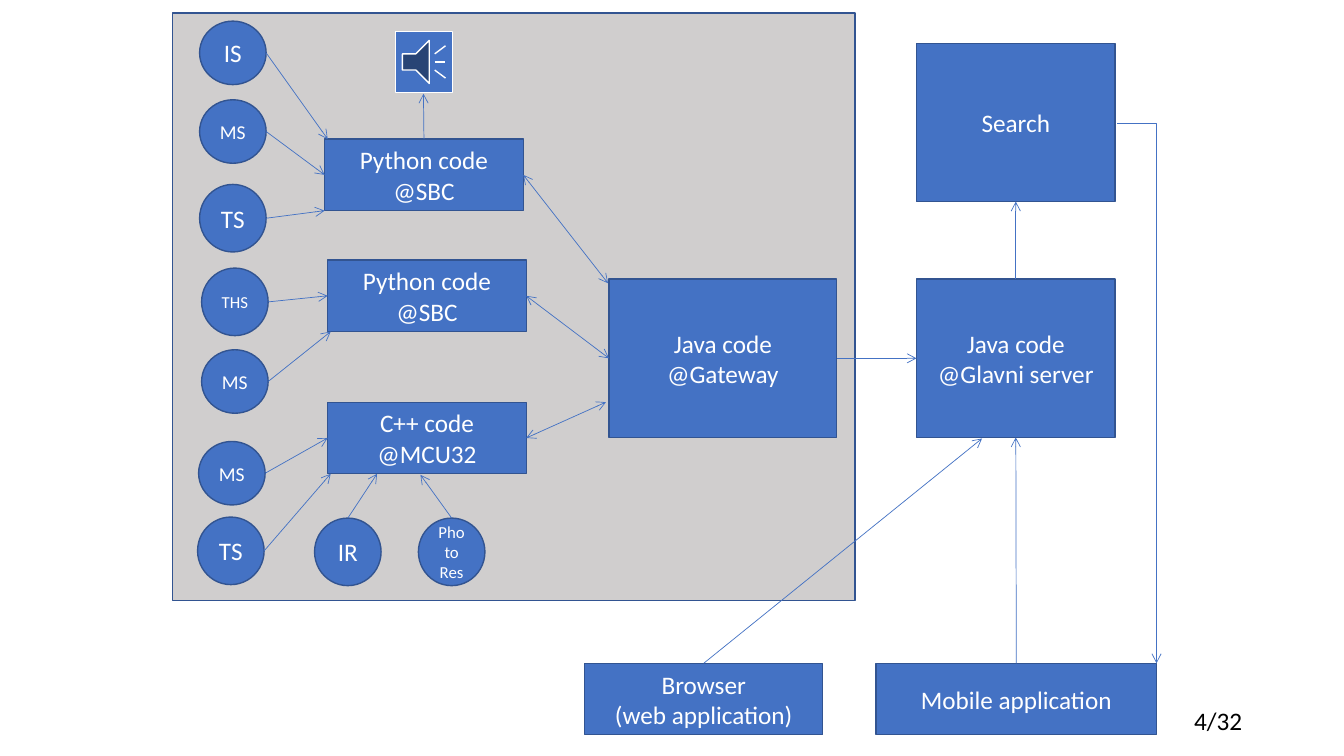
from lxml import etree
from pptx import Presentation
from pptx.dml.color import RGBColor
from pptx.enum.shapes import MSO_CONNECTOR as LINE, MSO_SHAPE as SHAPE
from pptx.enum.text import MSO_ANCHOR as ANCHOR, PP_ALIGN as ALIGN
from pptx.oxml.ns import qn
from pptx.util import Inches, Pt

WHITE = RGBColor(0xFF, 0xFF, 0xFF)
BLACK = RGBColor(0, 0, 0)
GREY = RGBColor(0xD0, 0xCE, 0xCE)
BLUE = RGBColor(0x44, 0x72, 0xC4)
DARK_BLUE = RGBColor(0x32, 0x54, 0x91)

WIDTH, HEIGHT = Inches(13.33), Inches(7.5)
COLS, ROWS = 133.3, 75
TOP, LEFT, BOTTOM, RIGHT = range(4)
CODE_W, CODE_H = 19.7, 7.1
SERVER_H = 15.7
SENSOR_W = 6.6


def col(n):
    return round(WIDTH * n / COLS)


def row(n):
    return round(HEIGHT * n / ROWS)


def write(sp, text, size=18, color=WHITE, align=ALIGN.CENTER, anchor=ANCHOR.MIDDLE):
    tf = sp.text_frame
    tf.word_wrap = True
    tf.vertical_anchor = anchor
    for i, line in enumerate(text.split("\n")):
        p = tf.add_paragraph() if i else tf.paragraphs[0]
        p.alignment = align
        r = p.add_run()
        r.text = line
        r.font.name = "Calibri"
        r.font.size = Pt(size)
        r.font.color.rgb = color


def block(s, x, y, w, h, text="", kind=SHAPE.RECTANGLE, fill=BLUE, line=DARK_BLUE, size=18):
    sp = s.shapes.add_shape(kind, col(x), row(y), col(w), row(h))
    sp.shadow.inherit = False
    sp.fill.solid()
    sp.fill.fore_color.rgb = fill
    sp.line.color.rgb = line
    sp.line.width = Pt(1)
    if text:
        write(sp, text, size=size)
    return sp


def sensor(s, x, y, h, text, size=18):
    return block(s, x, y, SENSOR_W, h, text, kind=SHAPE.OVAL, size=size)


def locate(end):
    """Turn a (shape, side) pair or a (column, row) pair into slide lengths."""
    sp, side = end
    if isinstance(sp, (int, float)):
        return col(sp), row(side)
    dx, dy = {TOP: (1, 0), LEFT: (0, 1), BOTTOM: (1, 2), RIGHT: (2, 1)}[side]
    return sp.left + sp.width * dx // 2, sp.top + sp.height * dy // 2


def is_rectangle_side(end):
    sp = end[0]
    return not isinstance(sp, (int, float)) and sp.auto_shape_type == SHAPE.RECTANGLE


def arrow(s, start, end, both=False, kind=LINE.STRAIGHT):
    c = s.shapes.add_connector(kind, *locate(start), *locate(end))
    if is_rectangle_side(start):
        c.begin_connect(*start)
    if is_rectangle_side(end):
        c.end_connect(*end)
    c.line.color.rgb = BLUE
    c.line.width = Pt(0.5)
    ln = c.line._get_or_add_ln()
    for tag in ("a:headEnd", "a:tailEnd") if both else ("a:tailEnd",):
        etree.SubElement(ln, qn(tag), type="arrow")
    etree.SubElement(c._element.spPr, qn("a:effectLst"))
    return c


def corner_arrow(s, x1, y1, x2, y2):
    """Arrow that runs right along y1, then down along x2."""
    cx, cy = (x1 + x2) / 2, (y1 + y2) / 2
    half_w, half_h = (y2 - y1) / 2, (x2 - x1) / 2
    c = arrow(s, (cx - half_w, cy - half_h), (cx + half_w, cy + half_h), kind=LINE.ELBOW)
    xfrm = c._element.spPr.find(qn("a:xfrm"))
    xfrm.set("rot", "16200000")
    xfrm.set("flipH", "1")
    guides = c._element.spPr.find(qn("a:prstGeom")).find(qn("a:avLst"))
    etree.SubElement(guides, qn("a:gd"), name="adj1", fmla="val 0")


def main():
    prs = Presentation()
    prs.slide_width, prs.slide_height = WIDTH, HEIGHT
    s = prs.slides.add_slide(prs.slide_layouts[6])

    page = s.shapes.add_textbox(col(93.6), row(69.5), col(30.6), row(4))
    write(page, "4/32", color=BLACK, align=ALIGN.RIGHT, anchor=ANCHOR.TOP)

    block(s, 17.1, 1.3, 67.7, 58.3, fill=GREY)
    block(s, 39.2, 3.1, 5.7, 6.1, kind=SHAPE.ACTION_BUTTON_SOUND, line=WHITE)
    upper = block(s, 32.2, 13.8, CODE_W, CODE_H, "Python code\n@SBC")
    middle = block(s, 32.5, 25.8, CODE_W, CODE_H, "Python code\n@SBC")
    lower = block(s, 32.5, 39.9, CODE_W, CODE_H, "C++ code\n@MCU32")
    gateway = block(s, 60.4, 27.7, 22.6, SERVER_H, "Java code\n@Gateway")
    server = block(s, 90.9, 27.7, CODE_W, SERVER_H, "Java code\n@Glavni server")
    search = block(s, 90.9, 4.3, CODE_W, SERVER_H, "Search")
    browser = block(s, 58, 65.8, 23.6, CODE_H, "Browser\n(web application)")
    mobile = block(s, 86.9, 65.8, 27.8, CODE_H, "Mobile application")

    for x, y, h, text, size, side, target in (
        (19.8, 2.1, 6.3, "IS", 18, RIGHT, (32.5, 13.8)),
        (19.8, 9.9, 6.3, "MS", 14, RIGHT, (upper, LEFT)),
        (19.8, 18.3, 6.7, "TS", 18, RIGHT, (32.2, 20.9)),
        (20, 26.6, 6.7, "THS", 12, RIGHT, (middle, LEFT)),
        (20, 34.7, 6.3, "MS", 14, RIGHT, (32.8, 32.9)),
        (19.7, 43.8, 6.3, "MS", 14, RIGHT, (lower, LEFT)),
        (19.6, 51.3, 6.7, "TS", 18, RIGHT, (32.8, 47)),
        (31.2, 51.4, 6.7, "IR", 18, TOP, (37.4, 47)),
        (41.5, 51.4, 6.7, "Photo Res", 12, TOP, (41.7, 47.1)),
    ):
        arrow(s, (sensor(s, x, y, h, text, size), side), target)

    arrow(s, (upper, TOP), (42, 9.3))
    arrow(s, (upper, RIGHT), (60.3, 28.1), both=True)
    arrow(s, (middle, RIGHT), (gateway, LEFT), both=True)
    arrow(s, (lower, RIGHT), (60.1, 39.9), both=True)
    arrow(s, (gateway, RIGHT), (server, LEFT))
    arrow(s, (server, TOP), (search, BOTTOM))
    arrow(s, (browser, TOP), (97.4, 43.5))
    arrow(s, (mobile, TOP), (server, BOTTOM))
    corner_arrow(s, 110.8, 12.2, 114.7, 65.8)

    prs.save("out.pptx")


if __name__ == "__main__":
    main()
